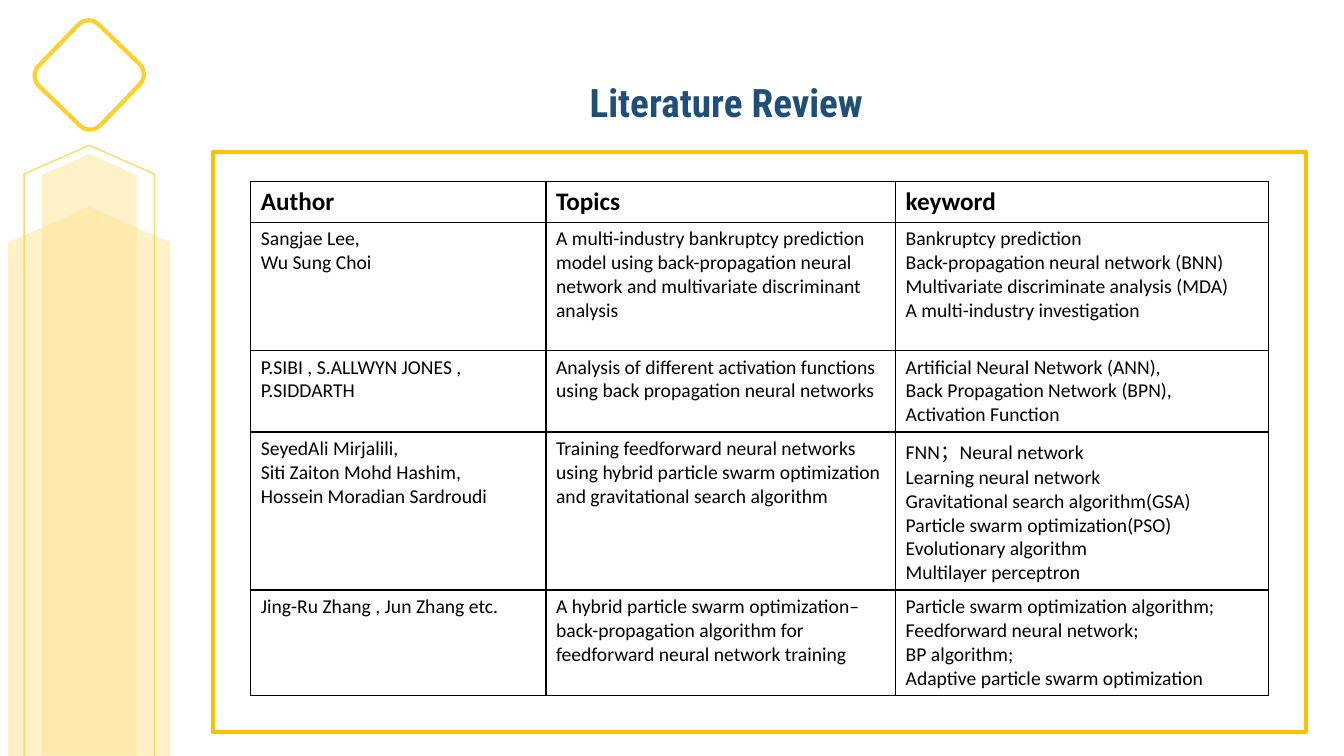
import copy
from dataclasses import dataclass

import pptx
import pptx.dml.color
import pptx.enum.shapes
import pptx.enum.text
import pptx.oxml
import pptx.oxml.ns
import pptx.util
from lxml import etree

Cm = pptx.util.Cm
Pt = pptx.util.Pt
qn = pptx.oxml.ns.qn
Shape = pptx.enum.shapes.MSO_SHAPE


@dataclass(frozen=True)
class Theme:
    frame: str = "FFC000"
    diamond: str = "FED02C"
    pillar: str = "FFE699"
    pillar_outline: str = "FFD966"
    title: str = "1F4E79"
    text: str = "000000"
    paper: str = "FFFFFF"
    title_font: str = "Roboto Condensed"
    body_font: str = "Calibri"
    title_size: int = 28
    header_size: int = 18
    body_size: int = 14


THEME = Theme()

# A line feed starts a paragraph, a vertical tab breaks a line
REVIEW_ROWS = [
    ("Author", "Topics", "keyword"),
    ("Sangjae Lee,\vWu Sung Choi",
     "A multi-industry bankruptcy prediction model using back-propagation "
     "neural network and multivariate discriminant analysis",
     "Bankruptcy prediction\nBack-propagation neural network (BNN)\n"
     "Multivariate discriminate analysis (MDA)\nA multi-industry investigation"),
    ("P.SIBI , S.ALLWYN JONES , P.SIDDARTH",
     "Analysis of different activation functions using back propagation "
     "neural networks",
     "Artificial Neural Network (ANN),\vBack Propagation Network (BPN),\v"
     "Activation Function"),
    ("SeyedAli Mirjalili,\vSiti Zaiton Mohd Hashim,\nHossein Moradian Sardroudi",
     "Training feedforward neural networks using hybrid particle swarm "
     "optimization and gravitational search algorithm",
     "FNN；Neural network\nLearning neural network\n"
     "Gravitational search algorithm(GSA)\nParticle swarm optimization(PSO)\n"
     "Evolutionary algorithm\nMultilayer perceptron"),
    ("Jing-Ru Zhang , Jun Zhang etc.",
     "A hybrid particle swarm optimization–back-propagation algorithm for "
     "feedforward neural network training",
     "Particle swarm optimization algorithm;\vFeedforward neural network;\v"
     "BP algorithm;\vAdaptive particle swarm optimization"),
]
COLUMN_WIDTHS = (7.44, 8.81, 9.4)
ROW_HEIGHTS = (1.03, 3.23, 2.05, 3.83, 2.64)


def rgb(color):
    return pptx.dml.color.RGBColor.from_string(color)


def add_shape(page, kind, left, top, width, height, fill=None, line=None, weight=1):
    shape = page.shapes.add_shape(kind, Cm(left), Cm(top), Cm(width), Cm(height))
    shape.shadow.inherit = False
    if fill:
        shape.fill.solid()
        shape.fill.fore_color.rgb = rgb(fill)
    else:
        shape.fill.background()
    if line:
        shape.line.color.rgb = rgb(line)
        shape.line.width = Pt(weight)
    else:
        shape.line.fill.background()
    return shape


def add_pillar(page, top, width, length, opacity=None, **style):
    """Add an upward-pointing pillar centred on the side column."""
    center = 2.25
    pillar = add_shape(page, Shape.PENTAGON, center - length / 2,
                       top + (length - width) / 2, length, width, **style)
    pillar.rotation = 270
    pillar.adjustments[0] = 0.22
    if opacity:
        color = pillar._element.spPr.find(qn("a:solidFill")).find(qn("a:srgbClr"))
        etree.SubElement(color, qn("a:alpha"), val=str(opacity * 1000))


def format_text(frame, font, size, color, bold):
    for para in frame.paragraphs:
        for span in para.runs:
            span.font.name = font
            span.font.size = Pt(size)
            span.font.bold = bold
            span.font.color.rgb = rgb(color)
        # Line breaks take the type size of the text around them
        for line_break in para._p.findall(qn("a:br")):
            line_break.append(copy.deepcopy(para.runs[0]._r.find(qn("a:rPr"))))


def add_title(page, text):
    box = add_shape(page, Shape.RECTANGLE, 12.9, 1.85, 10.8, 1.45, fill=THEME.paper)
    box.text_frame.text = text
    box.text_frame.word_wrap = True
    box.text_frame.vertical_anchor = pptx.enum.text.MSO_ANCHOR.MIDDLE
    box.text_frame.paragraphs[0].alignment = pptx.enum.text.PP_ALIGN.CENTER
    format_text(box.text_frame, THEME.title_font, THEME.title_size, THEME.title, True)


def set_borders(cell, color):
    properties = cell._tc.get_or_add_tcPr()
    for side in ("lnL", "lnR", "lnT", "lnB"):
        border = etree.SubElement(properties, qn("a:" + side), w=str(Pt(1)))
        fill = etree.SubElement(border, qn("a:solidFill"))
        etree.SubElement(fill, qn("a:srgbClr"), val=color)


def add_review_table(page):
    table = page.shapes.add_table(
        len(REVIEW_ROWS), len(COLUMN_WIDTHS), Cm(6.32), Cm(4.57),
        Cm(sum(COLUMN_WIDTHS)), Cm(sum(ROW_HEIGHTS))).table
    for column, width in zip(table.columns, COLUMN_WIDTHS):
        column.width = Cm(width)
    for row_index, (texts, height) in enumerate(zip(REVIEW_ROWS, ROW_HEIGHTS)):
        table.rows[row_index].height = Cm(height)
        header = row_index == 0
        size = THEME.header_size if header else THEME.body_size
        for column_index, text in enumerate(texts):
            cell = table.cell(row_index, column_index)
            set_borders(cell, THEME.text)
            cell.fill.background()
            cell.text_frame.text = text
            format_text(cell.text_frame, THEME.body_font, size, THEME.text, header)


def main():
    deck = pptx.Presentation()
    deck.slide_width, deck.slide_height = Cm(33.87), Cm(19.05)
    page = deck.slides.add_slide(deck.slide_layouts[6])

    # Frame and diamond
    add_shape(page, Shape.RECTANGLE, 5.36, 3.84, 27.56, 14.6,
              line=THEME.frame, weight=3)
    diamond = add_shape(page, Shape.ROUNDED_RECTANGLE, 1.17, 0.81, 2.16, 2.16,
                        fill=THEME.paper, line=THEME.diamond, weight=3)
    diamond.rotation = 44

    add_title(page, "Literature Review")

    # Side pillars
    add_pillar(page, 5.21, 4.09, 13.84, opacity=55, fill=THEME.pillar)
    add_pillar(page, 3.88, 2.39, 15.16, opacity=55, fill=THEME.pillar)
    add_pillar(page, 3.66, 3.28, 15.47, line=THEME.pillar_outline)

    add_review_table(page)
    deck.save("out.pptx")


if __name__ == "__main__":
    main()
